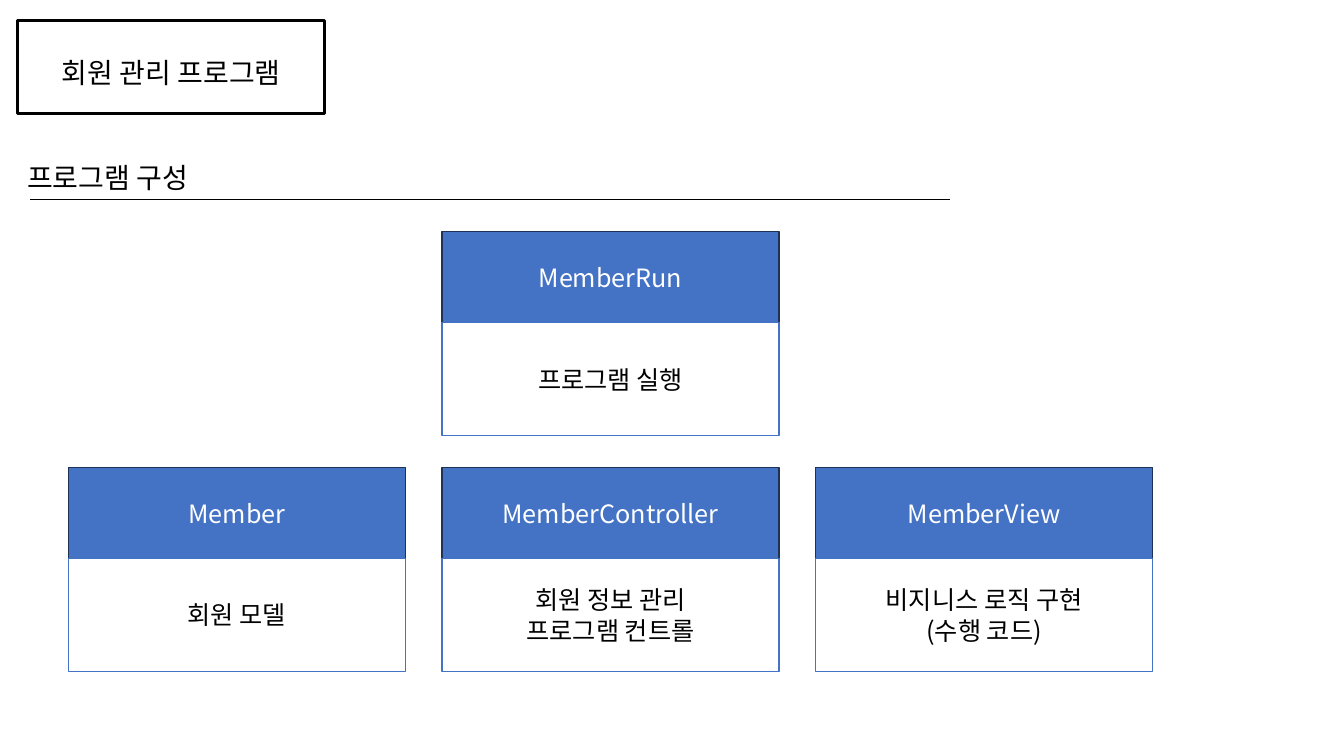
from pptx import Presentation
from pptx.dml.color import RGBColor
from pptx.enum.shapes import MSO_CONNECTOR, MSO_SHAPE
from pptx.enum.text import MSO_ANCHOR, MSO_AUTO_SIZE, PP_ALIGN
from pptx.oxml.ns import qn
from pptx.util import Inches, Pt
from lxml import etree

RECT = MSO_SHAPE.RECTANGLE
LINE = MSO_CONNECTOR.STRAIGHT
MIDDLE, TOP = MSO_ANCHOR.MIDDLE, MSO_ANCHOR.TOP
LEFT, CENTER = PP_ALIGN.LEFT, PP_ALIGN.CENTER
GROW = MSO_AUTO_SIZE.SHAPE_TO_FIT_TEXT

FONT = "Noto Sans CJK KR"
COLORS = {"black": "000000", "white": "FFFFFF", "blue": "4472C4", "navy": "1E3256"}
COLORS = {name: RGBColor.from_string(code) for name, code in COLORS.items()}


def write(shape, text, size, color, align=CENTER, anchor=MIDDLE):
    frame = shape.text_frame
    frame.word_wrap = True
    frame.vertical_anchor = anchor
    frame.text = text
    for para in frame.paragraphs:
        para.alignment = align
        para.font.size = Pt(size)
        para.font.color.rgb = COLORS[color]
        para.font.name = FONT
        props = para._p.pPr.find(qn("a:defRPr"))
        etree.SubElement(props, qn("a:ea"), typeface=FONT)


def box(left, top, width, height, fill, edge, weight=1):
    shape = slide.shapes.add_shape(
        RECT, Inches(left), Inches(top), Inches(width), Inches(height))
    shape.shadow.inherit = False
    if fill:
        shape.fill.solid()
        shape.fill.fore_color.rgb = COLORS[fill]
    else:
        shape.fill.background()
    shape.line.color.rgb = COLORS[edge]
    shape.line.width = Pt(weight)
    return shape


deck = Presentation()
deck.slide_width = Inches(13.33)
deck.slide_height = Inches(7.5)
slide = deck.slides.add_slide(deck.slide_layouts[6])

HEADS = [
    ("회원 관리 프로그램", 0.25, 0.5, 2.9, CENTER, MIDDLE),
    ("프로그램 구성", 0.17, 1.54, 3.34, LEFT, TOP),
]
for text, left, top, width, align, anchor in HEADS:
    head = slide.shapes.add_textbox(
        Inches(left), Inches(top), Inches(width), Inches(0.44))
    write(head, text, 20, "black", align, anchor)
    head.text_frame.auto_size = GROW

box(0.17, 0.2, 3.05, 0.93, None, "black", 2)

rule = slide.shapes.add_connector(
    LINE, Inches(0.3), Inches(1.98), Inches(9.42), Inches(1.98))
rule.line.color.rgb = COLORS["black"]
rule.line.width = Pt(1.25)
etree.SubElement(rule._element.spPr, qn("a:effectLst"))

X, Y = 0.68, 2.3
STEP_X, STEP_Y = 3.705, 2.34
WIDTH, HEAD, BODY = 3.34, 0.9, 1.12
CARDS = [
    (0, 1, "MemberRun", "프로그램 실행"),
    (1, 0, "Member", "회원 모델"),
    (1, 1, "MemberController", "회원 정보 관리\n프로그램 컨트롤"),
    (1, 2, "MemberView", "비지니스 로직 구현\n(수행 코드)"),
]
for row, col, name, role in CARDS:
    left, top = X + col * STEP_X, Y + row * STEP_Y
    write(box(left, top, WIDTH, HEAD, "blue", "navy"), name, 18, "white")
    write(box(left, top + HEAD, WIDTH, BODY, "white", "blue"), role, 18, "black")

deck.save("out.pptx")
